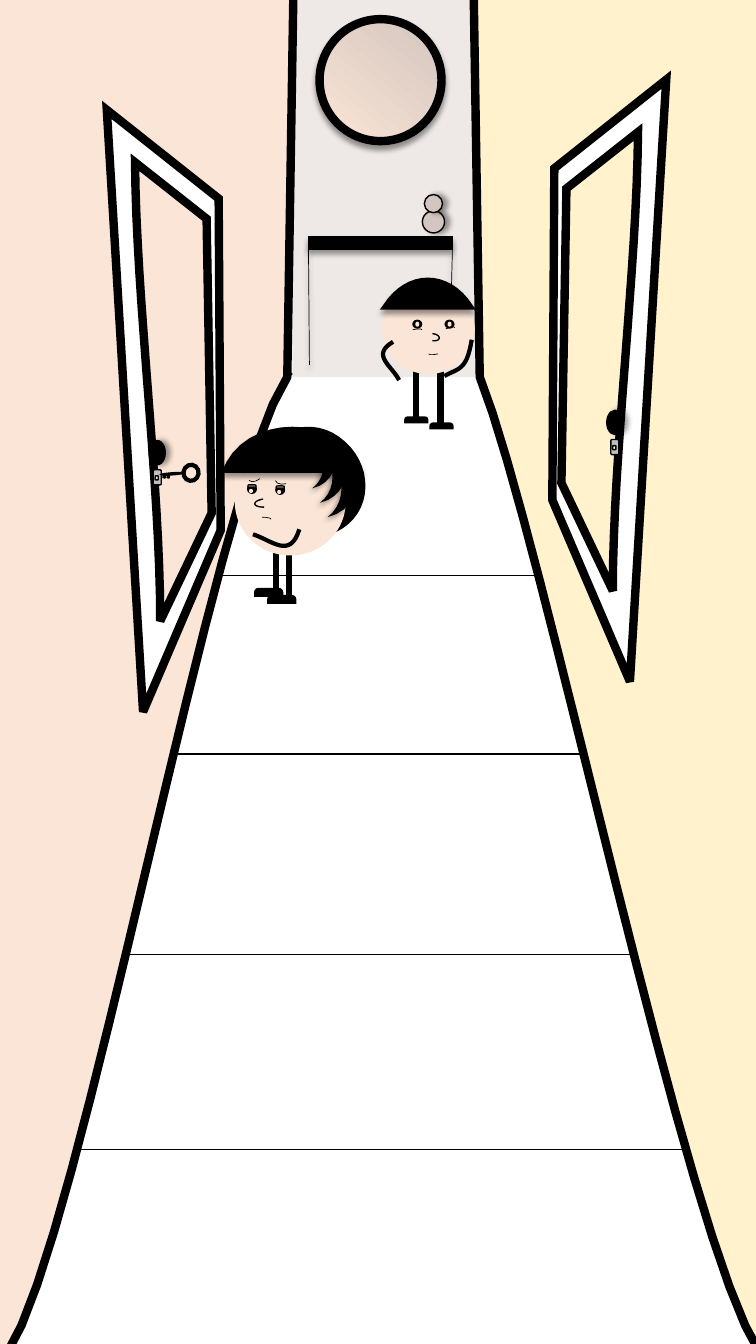
from lxml import etree
from pptx import Presentation
from pptx.dml.color import RGBColor
from pptx.enum.shapes import MSO_CONNECTOR, MSO_SHAPE
from pptx.oxml.ns import qn
from pptx.util import Cm, Pt

RECT, OVAL, ARC = MSO_SHAPE.RECTANGLE, MSO_SHAPE.OVAL, MSO_SHAPE.ARC
SHOE, ROUND = MSO_SHAPE.ROUND_2_SAME_RECTANGLE, MSO_SHAPE.ROUNDED_RECTANGLE
STRAIGHT = MSO_CONNECTOR.STRAIGHT
BLACK = RGBColor.from_string("000000")
WHITE = RGBColor.from_string("FFFFFF")
PEACH = RGBColor.from_string("FBE5D6")
CREAM = RGBColor.from_string("FFF2CC")
STONE = RGBColor.from_string("EEE8E6")
TAUPE = RGBColor.from_string("D3C5BF")
STEEL = RGBColor.from_string("BFBFBF")
SIDE, DOWN, SLANT = 0, 90, 135  # shadow angles
STEPS = 16


def unit(n):
    """Turn a drawing unit of 2.54 cm into a length."""
    return Cm(n * 2.54)


def mirror(path, axis, lift=0):
    """Reflect a path in x (axis is the sum of both x) and raise it."""
    return [tuple(v - lift if i % 2 else axis - v for i, v in enumerate(step))
            for step in path]


def shrink(path, rate, dx, dy):
    """Scale a path about its first point, then shift it."""
    base = path[0]
    move = (dx, dy)
    return [tuple(base[i % 2] + (v - base[i % 2]) * rate + move[i % 2]
                  for i, v in enumerate(step)) for step in path]


def trace(path):
    """Turn corners (x, y) and Bezier steps (six numbers) into points."""
    pts = []
    for step in path:
        if len(step) == 2:
            pts.append(step)
            continue
        ends = [pts[-1], step[:2], step[2:4], step[4:]]
        for i in range(1, STEPS + 1):
            t = i / STEPS
            mix = ((1 - t) ** 3, 3 * t * (1 - t) ** 2, 3 * t * t * (1 - t), t ** 3)
            pts.append(tuple(sum(m * e[k] for m, e in zip(mix, ends)) for k in (0, 1)))
    return [(unit(x), unit(y)) for x, y in pts]


class Art:
    """Holds the slide and the group being drawn in."""

    def __init__(self, slide):
        self.slide = slide
        self.place = slide.shapes

    def group(self):
        self.place = self.slide.shapes.add_group_shape().shapes

    def leave(self):
        self.place = self.slide.shapes

    def shade(self, props, cast):
        """Set an effect list, empty unless a shadow angle is given."""
        fx = props.find(qn("a:effectLst"))
        if fx is None:
            fx = etree.SubElement(props, qn("a:effectLst"))
        if cast is not None:
            drop = etree.SubElement(fx, qn("a:outerShdw"), blurRad=str(Pt(4)),
                                    dist=str(Pt(3)), dir=str(cast * 60000), rotWithShape="0")
            tint = etree.SubElement(drop, qn("a:srgbClr"), val=str(BLACK))
            etree.SubElement(tint, qn("a:alpha"), val="40000")

    def paint(self, item, fill, line, cast):
        if fill is None:
            item.fill.background()
        else:
            item.fill.solid()
            item.fill.fore_color.rgb = fill
        if line:
            item.line.color.rgb = BLACK
            item.line.width = Pt(line)
            etree.SubElement(item._element.spPr.find(qn("a:ln")), qn("a:miter"), lim="800000")
        else:
            item.line.fill.background()
        item.shadow.inherit = False
        self.shade(item._element.spPr, cast)
        return item

    def form(self, kind, x, y, w, h, fill=None, line=0, turn=0, cast=None):
        item = self.place.add_shape(kind, unit(x), unit(y), unit(w), unit(h))
        item.rotation = turn
        if kind == SHOE:
            item.adjustments[0] = 0.5
        return self.paint(item, fill, line, cast)

    def free(self, path, fill=None, line=0, cast=None):
        start, *rest = trace(path)
        pen = self.place.build_freeform(*start)
        pen.add_line_segments(rest, close=fill is not None)
        return self.paint(pen.convert_to_shape(), fill, line, cast)

    def rule(self, x1, y1, x2, y2, width, cast=None):
        item = self.place.add_connector(STRAIGHT, unit(x1), unit(y1), unit(x2), unit(y2))
        item.line.color.rgb = BLACK
        item.line.width = Pt(width)
        self.shade(item._element.spPr, cast)
        return item


FRAME = [(1.06, 1.09), (2.17, 1.97), (2.19, 5.26), (1.42, 7.06)]
PANEL = [(1.34, 1.61), (2.05, 2.17), (2.1, 5.09), (1.59, 6.16),
         (1.59, 4.8, 1.35, 2.97, 1.34, 1.61)]
BUN = [(2.53, 4.73), (2.56, 4.3, 3.04, 4.1, 3.36, 4.33),
       (3.72, 4.58, 3.72, 5.1, 3.33, 5.28), (3.4, 4.8, 2.95, 4.5, 2.53, 4.73)]
FRINGE = [(2.2, 4.69), (2.4, 4.08, 3.4, 4.08, 3.61, 4.69)]
LOCK = [(2.95, 4.47), (3.5, 4.2, 3.77, 5, 3.25, 5.13), (3.55, 4.9, 3.32, 4.35, 2.95, 4.47)]
CAP = [(3.83, 3.04), (4.05, 2.7, 4.44, 2.7, 4.66, 3.04)]


def wall(bend):
    """Outline the left wall; bend is where its foot starts to curve."""
    return [(-2.93, -0.05), (2.91, -0.05), (2.85, 3.74),
            (*bend, 0.8, 12.35, 0.07, 13.42), (-2.93, 13.42)]


def room(art):
    art.group()
    for x, y, w in ((0.99, 3.71, 5.29), (0.57, 5.71, 5.85), (0.27, 7.48, 6.74),
                    (-0.32, 9.47, 7.6), (-0.82, 11.4, 8.33)):
        art.form(RECT, x, y, w, 2, WHITE, 1)
    art.leave()
    art.form(RECT, 2.9, 0, 1.89, 3.74, STONE)
    art.free(mirror(wall((2.22, 5.32)), 7.61), CREAM, 6)
    art.free(wall((2.12, 4.8)), PEACH, 6)


def door(art, fill, x, y, turn=list):
    """Draw a door with its knob at x, y; turn maps the left-hand paths."""
    art.group()
    art.free(turn(FRAME), WHITE, 6)
    art.free(turn(PANEL), fill, 6)
    art.form(OVAL, x, y, 0.16, 0.24, BLACK, 1, cast=SIDE)
    art.form(ROUND, x + 0.04, y + 0.29, 0.08, 0.15, STEEL, 1)
    art.form(ROUND, x + 0.06, y + 0.35, 0.03, 0.04, fill, 1)


def body(art, legs, foot, head):
    """Draw legs (x, top, bottom, shoe x), shoes of one size and a head."""
    wide, high = foot
    for x, top, low, shoe in legs:
        art.rule(x, top, x, low, 4.5)
        art.form(SHOE, shoe, low - 0.05, wide, high, BLACK)
    art.form(OVAL, *head, PEACH)


def woman(art):
    art.group()
    art.free(BUN, BLACK)
    body(art, ((2.74, 5.37, 5.88, 2.52), (2.87, 5.44, 5.95, 2.65)),
         (0.29, 0.09), (2.33, 4.45, 1.1, 1.06))
    art.free([(2.97, 5.25), (2.88, 5.55, 2.7, 5.36, 2.51, 5.3)], line=3)
    art.free([(2.61, 4.95), (2.5, 4.97, 2.5, 5.03, 2.62, 5.03)], line=1)
    art.free(FRINGE, BLACK, cast=DOWN)
    for i in range(3):
        art.free(shrink(LOCK, 1 - i / 10, -i / 22, -i / 13), BLACK, cast=SLANT)
    for x, y, brow, turn in ((2.73, 4.81, 4.69, 166), (2.45, 4.8, 4.65, 141)):
        art.form(OVAL, x, y, 0.1, 0.1, BLACK)
        art.form(OVAL, x + 0.02, y + 0.05, 0.04, 0.04, PEACH)
        art.form(ARC, x, brow, 0.19, 0.11, line=0.5, turn=turn)
        art.form(SHOE, x + 0.01, y + 0.01, 0.08, 0.02, PEACH, 1)
    art.form(ARC, 2.51, 5.13, 0.18, 0.04, line=0.5)


def key(art):
    art.group()
    art.form(OVAL, 1.82, 4.61, 0.15, 0.16, line=3, turn=8)
    art.form(OVAL, 1.6, 4.69, 0.22, 0.02, BLACK, 1, -4)
    for x in (1.62, 1.66):
        art.form(ROUND, x, 4.7, 0.02, 0.04, BLACK, 1, 8)


def shelf(art):
    art.group()
    top = art.form(RECT, 3.06, 2.35, 1.43, 0.12, BLACK, 1, cast=DOWN)
    for side, x, foot in ((1, 3.06, 3.07), (3, 4.49, 4.46)):
        art.rule(x, 2.41, foot, 3.62, 0.5, DOWN).begin_connect(top, side)
    art.leave()
    glass = art.form(OVAL, 3.17, 0.19, 1.21, 1.21, WHITE, 6, cast=DOWN)
    glass.fill.gradient()
    glass.fill.gradient_angle = 230
    for spot, (stop, tint) in enumerate(zip(glass.fill.gradient_stops, (TAUPE, PEACH))):
        stop.color.rgb, stop.position = tint, spot


def man(art):
    art.group()
    body(art, ((4.13, 3.67, 4.18, 4.01), (4.37, 3.67, 4.24, 4.26)),
         (0.24, 0.07), (3.79, 2.82, 0.92, 0.89))
    art.free([(3.9, 3.39), (3.68, 3.52, 3.88, 3.62, 3.96, 3.77)], line=3)
    art.free([(4.68, 3.37), (4.63, 3.68, 4.55, 3.65, 4.41, 3.73)], line=3)
    art.free([(4.29, 3.31), (4.38, 3.32, 4.38, 3.39, 4.29, 3.38)], line=1)
    for x in (4.09, 4.41):
        art.form(OVAL, x, 3.17, 0.1, 0.09, BLACK)
        art.form(OVAL, x + 0.03, 3.19, 0.04, 0.05, PEACH)
    art.free(CAP, BLACK, 4.5, DOWN)
    for x, y, turn in ((4.01, 3.27, -13), (4.34, 3.26, -21), (4.25, 3.47, 167)):
        art.form(ARC, x, y, 0.18, 0.04, line=0.5, turn=turn)


def vase(art):
    art.group()
    for x, y, size in ((4.19, 2.09, 0.22), (4.21, 1.93, 0.18)):
        art.form(OVAL, x, y, size, size, TAUPE, 1, cast=SIDE)


def main():
    deck = Presentation()
    deck.slide_width, deck.slide_height = Cm(19.05), Cm(33.86)
    art = Art(deck.slides.add_slide(deck.slide_layouts[6]))
    room(art)
    door(art, PEACH, 1.48, 4.37)
    for draw in (woman, key, shelf, man):
        draw(art)
    door(art, CREAM, 6.02, 4.07, lambda path: mirror(path, 7.67, 0.3))
    vase(art)
    deck.save("out.pptx")


if __name__ == "__main__":
    main()
